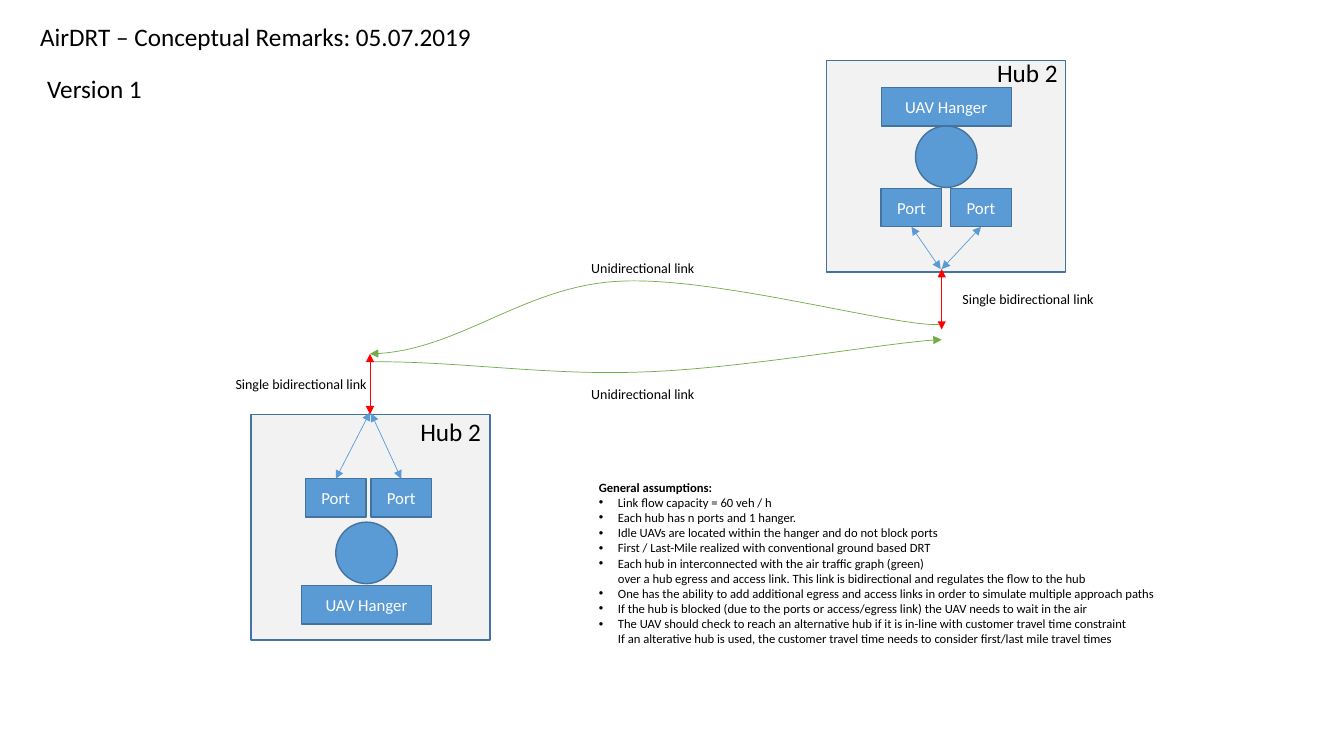
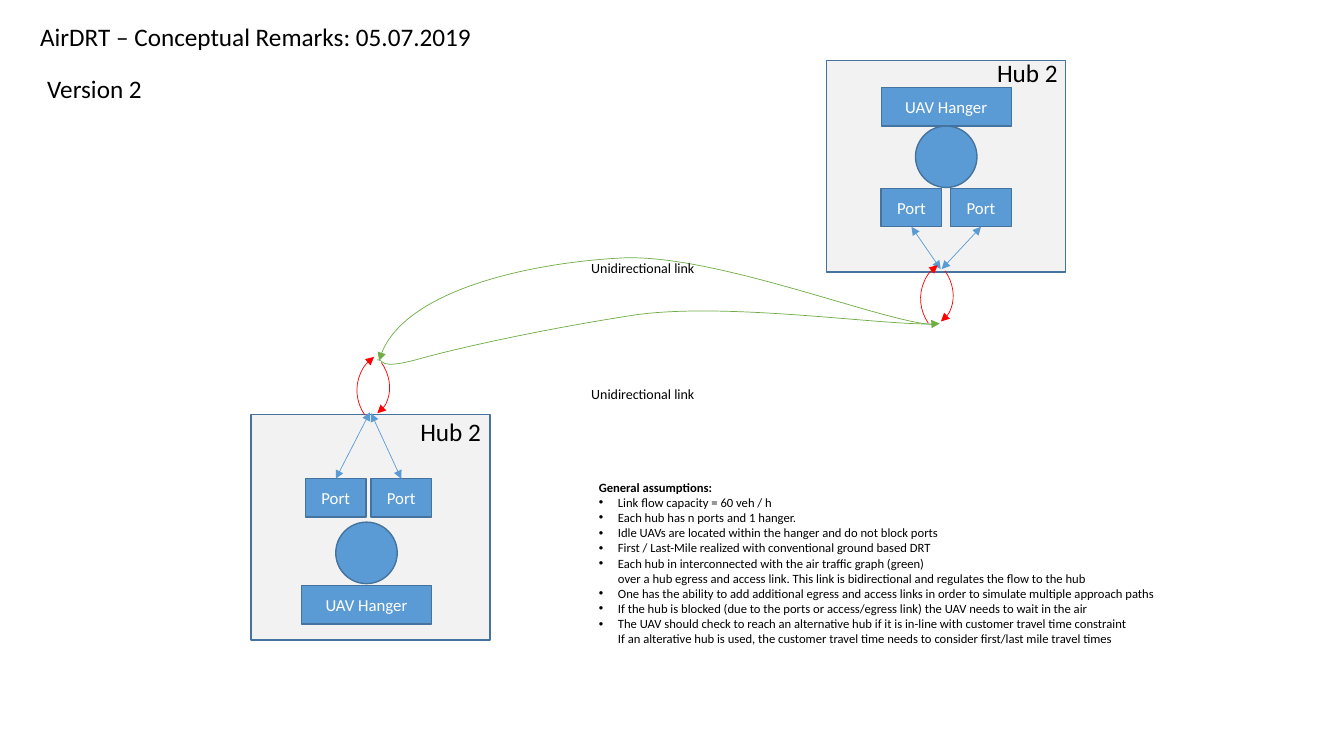
from dataclasses import dataclass
from lxml.etree import SubElement
from pptx import Presentation
from pptx.dml.color import RGBColor
from pptx.enum.shapes import MSO_CONNECTOR, MSO_SHAPE
from pptx.enum.text import MSO_ANCHOR, MSO_AUTO_SIZE, PP_ALIGN
from pptx.oxml.ns import qn
from pptx.util import Inches, Pt


@dataclass(frozen=True)
class Theme:
    font: str = "Calibri"
    ink: str = "000000"
    white: str = "FFFFFF"
    panel: str = "F2F2F2"
    blue: str = "5B9BD5"
    edge: str = "43739E"
    red: str = "FF0000"
    green: str = "70AD47"
    title: int = 18
    body: int = 12
    label: int = 10
    note: int = 9
    thin: float = 0.5


@dataclass(frozen=True)
class Hub:
    """Outer box, then offsets from its top left corner."""
    box: tuple
    hangar: tuple
    pad: tuple
    ports: tuple
    joins: tuple   # where each port's arrow meets the gate
    below: bool    # arrows leave the ports downward
    name: tuple
    gate: tuple
    loop: tuple
    tag: tuple


T = Theme()
PORT = (0.6, 0.38)
HANGAR = (1.29, 0.38)
PAD = (0.61, 0.61)

HUBS = (
    Hub(box=(2.49, 4.11, 2.37, 2.24), hangar=(0.5, 1.7), pad=(0.84, 1.07),
        ports=((0.54, 0.64), (1.19, 0.64)),
        joins=((1.18, -0.02), (1.19, -0.01)), below=False,
        name=(1.58, -0.03), gate=(1.18, -0.6), loop=(0.64, -0.65),
        tag=(-0.7, -0.43)),
    Hub(box=(8.2, 0.6, 2.37, 2.1), hangar=(0.54, 0.27), pad=(0.88, 0.65),
        ports=((0.54, 1.27), (1.23, 1.27)),
        joins=((1.13, 2.07), (1.14, 2.07)), below=True,
        name=(1.59, -0.08), gate=(1.14, 2.07), loop=(0.52, 1.95),
        tag=(0.8, 2.23)),
)

# Each route: arrow at start, arrow at end, start point and Bezier points
ROUTES = {
    1: ((False, True, ((3.68, 3.59), (4.53, 3.58), (5.44, 3.73), (6.39, 3.69),
                       (7.33, 3.66), (8.91, 3.38), (9.34, 3.37))),
        (True, False, ((3.67, 3.51), (4.53, 3.5), (5.22, 2.83), (6.15, 2.79),
                       (7.09, 2.74), (8.87, 3.24), (9.31, 3.22)))),
    2: ((False, True, ((3.74, 3.57), (3.82, 3.56), (3.73, 3.68), (4.16, 3.56),
                       (4.59, 3.44), (5.47, 3.25), (6.33, 3.12),
                       (7.26, 3), (8.89, 3.25), (9.32, 3.21))),
        (True, False, ((3.76, 3.58), (3.93, 2.91), (5.22, 2.61), (6.16, 2.56),
                       (7.1, 2.51), (8.84, 3.23), (9.28, 3.22)))),
}

NOTES = (
    ("Link flow capacity = 60 veh / h",),
    ("Each hub has n ports and 1 hanger.",),
    ("Idle UAVs are located within the hanger and do not block ports",),
    ("First / Last-Mile realized with conventional ground based DRT",),
    ("Each hub in interconnected with the air traffic graph (green)",
     "over a hub egress and access link. This link is bidirectional and "
     "regulates the flow to the hub"),
    ("One has the ability to add additional egress and access links in order "
     "to simulate multiple approach paths",),
    ("If the hub is blocked (due to the ports or access/egress link) the UAV "
     "needs to wait in the air",),
    ("The UAV should check to reach an alternative hub if it is in-line with "
     "customer travel time constraint",
     "If an alterative hub is used, the customer travel time needs to consider "
     "first/last mile travel times"),
)


def rgb(code):
    return RGBColor.from_string(code)


def shift(box, at):
    return box[0] + at[0], box[1] + at[1]


def add_run(para, text, size, color=T.ink, bold=False):
    run = para.add_run()
    run.text = text
    run.font.name = T.font
    run.font.size = Pt(size)
    run.font.bold = bold
    run.font.color.rgb = rgb(color)


def add_block(slide, kind, at, size, fill=T.blue, text=None):
    shape = slide.shapes.add_shape(kind, *map(Inches, (*at, *size)))
    shape.shadow.inherit = False
    shape.fill.solid()
    shape.fill.fore_color.rgb = rgb(fill)
    shape.line.color.rgb = rgb(T.edge)
    shape.line.width = Pt(1)
    if text:
        frame = shape.text_frame
        frame.vertical_anchor = MSO_ANCHOR.MIDDLE
        para = frame.paragraphs[0]
        para.alignment = PP_ALIGN.CENTER
        add_run(para, text, T.body, T.white)


def add_box(slide, at, size, wrap=True):
    frame = slide.shapes.add_textbox(*map(Inches, (*at, *size))).text_frame
    frame.word_wrap = wrap
    frame.auto_size = MSO_AUTO_SIZE.SHAPE_TO_FIT_TEXT
    return frame


def add_title(slide, at, width, text, wrap=True):
    frame = add_box(slide, at, (width, 0.4), wrap)
    add_run(frame.paragraphs[0], text, T.title)


def add_label(slide, at, text):
    para = add_box(slide, at, (2.39, 0.27)).paragraphs[0]
    para.alignment = PP_ALIGN.CENTER
    add_run(para, text, T.label)


def style_line(shape, color, head=False, tail=False):
    line = shape.line
    line.color.rgb = rgb(color)
    line.width = Pt(T.thin)
    node = shape.element.spPr.find(qn("a:ln"))
    for tag, shown in (("a:headEnd", head), ("a:tailEnd", tail)):
        if shown:
            SubElement(node, qn(tag), type="triangle")


def add_link(slide, start, end, color):
    link = slide.shapes.add_connector(
        MSO_CONNECTOR.STRAIGHT, *map(Inches, (*start, *end)))
    style_line(link, color, True, True)
    SubElement(link.element.spPr, qn("a:effectLst"))


def add_route(slide, head, tail, points):
    spots = [tuple(map(Inches, point)) for point in points]
    pen = slide.shapes.build_freeform(*spots[0])
    pen.add_line_segments(spots[1:], close=False)
    route = pen.convert_to_shape()
    route.shadow.inherit = False
    route.fill.background()
    # Turn each three line steps into one Bezier step
    steps = list(route.element.iter(qn("a:lnTo")))
    for first in range(0, len(steps), 3):
        trio = steps[first:first + 3]
        trio[0].tag = qn("a:cubicBezTo")
        for step in trio[1:]:
            trio[0].append(step[0])
            step.getparent().remove(step)
    style_line(route, T.green, head, tail)


def add_loop(slide, at):
    # Two facing arcs, half a turn apart
    for place, size, turn in ((at, (0.78, 0.64), 55.2),
                              (shift(at, (0.4, 0.02)), (0.84, 0.81), 235.2)):
        arc = slide.shapes.add_shape(MSO_SHAPE.ARC,
                                     *map(Inches, (*place, *size)))
        arc.rotation = turn
        arc.shadow.inherit = False
        arc.fill.background()
        style_line(arc, T.red, tail=True)


def add_hub(slide, hub):
    box = hub.box
    add_block(slide, MSO_SHAPE.RECTANGLE, box[:2], box[2:], T.panel)
    add_block(slide, MSO_SHAPE.OVAL, shift(box, hub.pad), PAD)
    add_block(slide, MSO_SHAPE.RECTANGLE, shift(box, hub.hangar), HANGAR,
              text="UAV Hanger")
    # Ports and their arrows to the gate
    for port, join in zip(hub.ports, hub.joins):
        spot = shift(box, port)
        add_block(slide, MSO_SHAPE.RECTANGLE, spot, PORT, text="Port")
        edge = shift(spot, (PORT[0] / 2, PORT[1] if hub.below else 0))
        add_link(slide, edge, shift(box, join), T.blue)
    add_title(slide, shift(box, hub.name), 0.81, "Hub 2", wrap=False)


def add_gate(slide, hub, version):
    if version == 1:
        start = shift(hub.box, hub.gate)
        add_link(slide, start, shift(start, (0, 0.6)), T.red)
        add_label(slide, shift(hub.box, hub.tag), "Single bidirectional link")
    else:
        add_loop(slide, shift(hub.box, hub.loop))


def add_notes(slide, at, size):
    frame = add_box(slide, at, size)
    add_run(frame.paragraphs[0], "General assumptions:", T.note, bold=True)
    for note in NOTES:
        para = frame.add_paragraph()
        props = para._p.get_or_add_pPr()
        props.set("marL", str(Inches(0.19)))
        props.set("indent", str(-Inches(0.19)))
        SubElement(props, qn("a:buFont"), typeface="Arial")
        SubElement(props, qn("a:buChar"), char="•")
        for row, text in enumerate(note):
            if row:
                para.add_line_break()
            add_run(para, text, T.note)


def add_page(deck, version):
    slide = deck.slides.add_slide(deck.slide_layouts[6])
    # Hubs and notes
    for hub in HUBS:
        add_hub(slide, hub)
    add_notes(slide, (5.84, 4.71), (5.81, 1.77))
    # Air links
    for route in ROUTES[version]:
        add_route(slide, *route)
    for top in (2.53, 3.78):
        add_label(slide, (5.18, top), "Unidirectional link")
    for hub in HUBS:
        add_gate(slide, hub, version)
    # Headings
    add_title(slide, (0.3, 0.16), 4.8, "AirDRT – Conceptual Remarks: 05.07.2019")
    add_title(slide, (0.37, 0.68), 3.44, f"Version {version}")


def main():
    deck = Presentation()
    deck.slide_width = Inches(13.33)
    deck.slide_height = Inches(7.5)
    for version in ROUTES:
        add_page(deck, version)
    deck.save("out.pptx")


if __name__ == "__main__":
    main()
